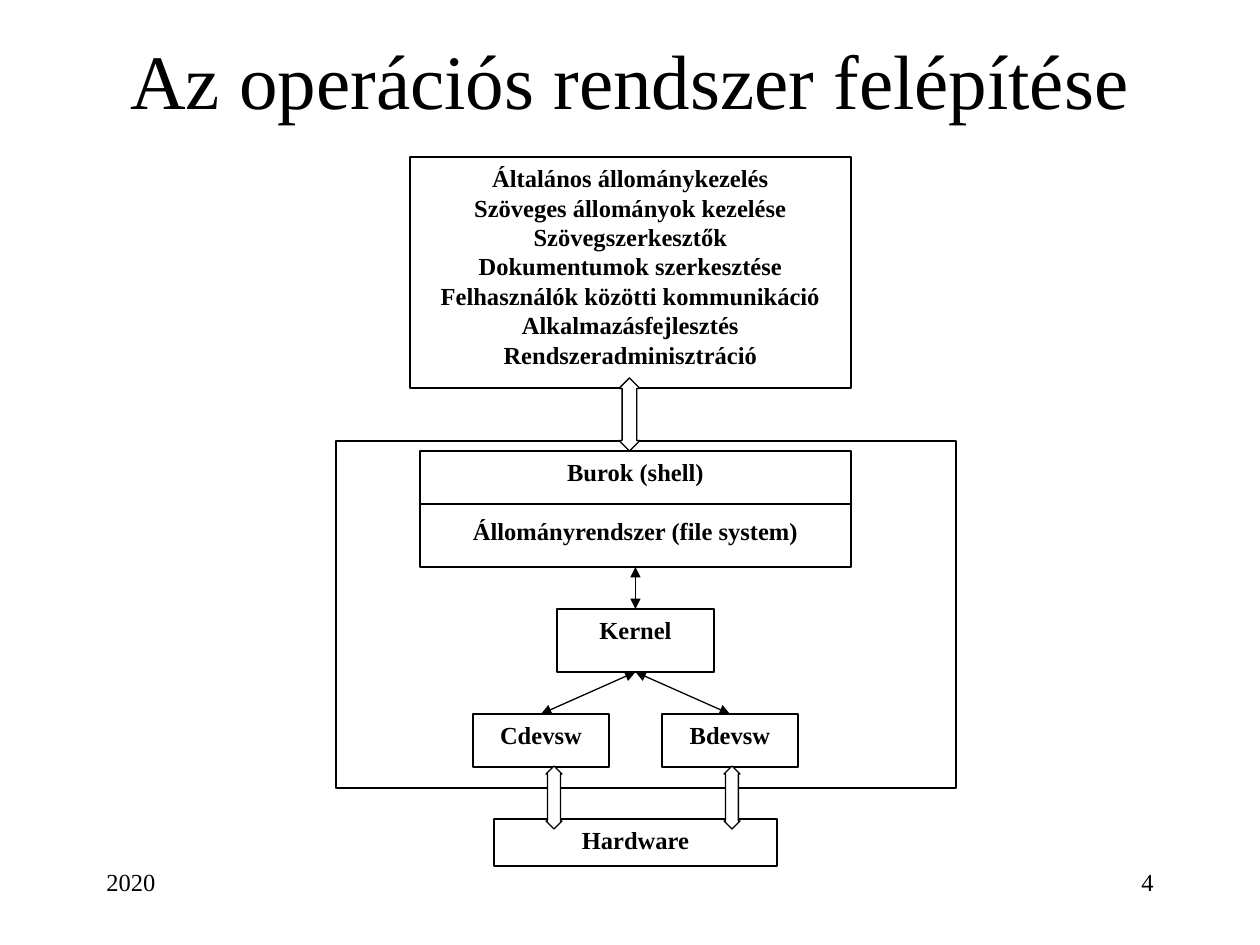
from lxml import etree
from pptx import Presentation, util as u
from pptx.dml.color import RGBColor
from pptx.enum import shapes, text
from pptx.oxml.ns import qn

FONT = "Times New Roman"
BLACK, WHITE = "000000", "FFFFFF"
LEFT, CENTER, RIGHT = text.PP_ALIGN.LEFT, text.PP_ALIGN.CENTER, text.PP_ALIGN.RIGHT

# Content: name -> (left, top, width, height) in px, paragraphs
BOXES = {
    "tasks": ((410, 157, 441, 231), [
        "Általános állománykezelés",
        "Szöveges állományok kezelése",
        "Szövegszerkesztők",
        "Dokumentumok szerkesztése",
        "Felhasználók közötti kommunikáció",
        "Alkalmazásfejlesztés",
        "Rendszeradminisztráció",
    ]),
    "system": ((336, 441, 620, 347), []),
    "shell": ((420, 451, 431, 116), ["Burok (shell)", "Állományrendszer (file system)"]),
    "kernel": ((557, 609, 157, 63), ["Kernel"]),
    "cdevsw": ((473, 714, 136, 53), ["Cdevsw"]),
    "bdevsw": ((662, 714, 136, 53), ["Bdevsw"]),
    "hardware": ((494, 819, 283, 47), ["Hardware"]),
}
# Block arrows: place, head length relative to width
BLOCK_ARROWS = [
    ((546, 766, 16, 63), 0.8),
    ((724, 766, 16, 63), 0.8),
    ((619, 378, 21, 73), 0.7),
]
LINKS = [("kernel", "cdevsw"), ("kernel", "bdevsw"), ("shell", "kernel")]
DIVIDER_Y = 504
# Plain texts: place, text, size, alignment, anchor
TEXTS = [
    ((94, 0, 1072, 157), "Az operációs rendszer felépítése", 44, CENTER, text.MSO_ANCHOR.MIDDLE),
    ((903, 861, 263, 63), "4", 14, RIGHT, text.MSO_ANCHOR.TOP),
    ((94, 861, 263, 63), "2020", 14, LEFT, text.MSO_ANCHOR.TOP),
]


def px(n):
    return round(n * 914400 / 126)


def rgb(color):
    return RGBColor.from_string(color)


def outline(sp):
    sp.line.color.rgb = rgb(BLACK)
    sp.line.width = u.Pt(0.75)


def add_block(s, kind, place):
    sp = s.shapes.add_shape(kind, *map(px, place))
    sp.shadow.inherit = False
    sp.fill.solid()
    sp.fill.fore_color.rgb = rgb(WHITE)
    outline(sp)
    return sp


def write(sp, lines, size, align, anchor, bold=False):
    tf = sp.text_frame
    tf.word_wrap = True
    tf.vertical_anchor = anchor
    tf.text = "\n".join(lines)
    for p in tf.paragraphs:
        p.alignment = align
        for r in p.runs:
            r.font.name = FONT
            r.font.size = u.Pt(size)
            r.font.bold = bold
            r.font.color.rgb = rgb(BLACK)


def add_line(s, x1=0, y1=0, x2=0, y2=0):
    cn = s.shapes.add_connector(shapes.MSO_CONNECTOR.STRAIGHT, *map(px, (x1, y1, x2, y2)))
    outline(cn)
    etree.SubElement(cn._element.spPr, qn("a:effectLst"))
    return cn


prs = Presentation()
prs.slide_width, prs.slide_height = u.Inches(10), u.Inches(7.5)
s = prs.slides.add_slide(prs.slide_layouts[6])

# Boxes
boxes = {}
for name, (place, lines) in BOXES.items():
    boxes[name] = add_block(s, shapes.MSO_SHAPE.RECTANGLE, place)
    if lines:
        write(boxes[name], lines, 14, CENTER, text.MSO_ANCHOR.TOP, bold=True)
boxes["shell"].text_frame.paragraphs[1].space_before = u.Pt(17)

# Block arrows between the layers
for place, head in BLOCK_ARROWS:
    sp = add_block(s, shapes.MSO_SHAPE.UP_DOWN_ARROW, place)
    sp.adjustments[0], sp.adjustments[1] = 0.5, head

# Line between shell and file system
left, _, width, _ = BOXES["shell"][0]
add_line(s, left, DIVIDER_Y, left + width, DIVIDER_Y)

# Two-headed links, bottom of one box to top of the next
for upper, lower in LINKS:
    cn = add_line(s)
    cn.begin_connect(boxes[upper], 2)
    cn.end_connect(boxes[lower], 0)
    ln = cn.line._get_or_add_ln()
    for end in ("a:headEnd", "a:tailEnd"):
        etree.SubElement(ln, qn(end), type="triangle")

# Title, page number and year
for place, line, size, align, anchor in TEXTS:
    write(s.shapes.add_textbox(*map(px, place)), [line], size, align, anchor)

prs.save("out.pptx")
